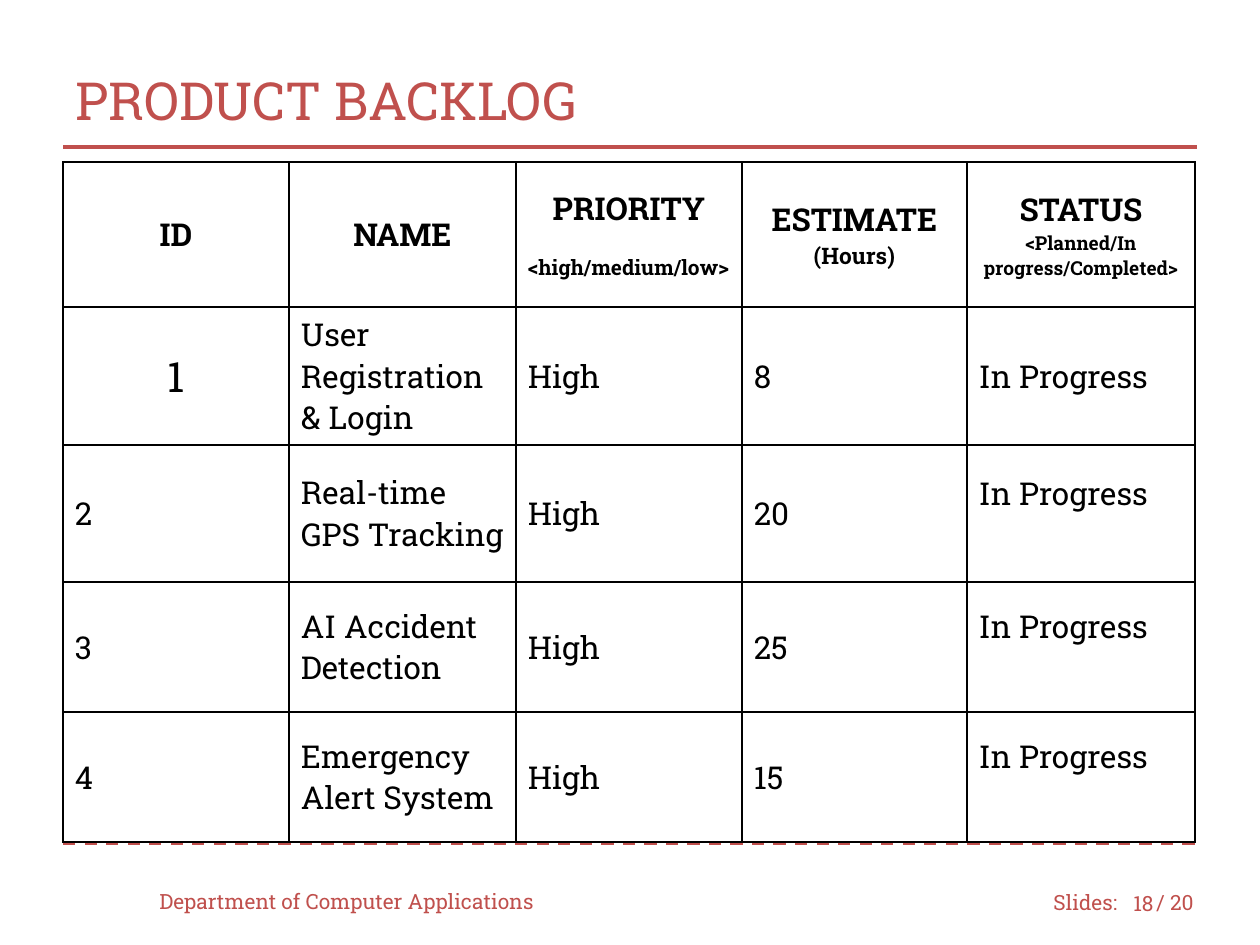
from lxml.etree import SubElement
from pptx import Presentation
from pptx.dml.color import RGBColor
from pptx.enum.dml import MSO_LINE
from pptx.enum.shapes import MSO_CONNECTOR
from pptx.enum.text import MSO_ANCHOR, PP_ALIGN
from pptx.oxml.ns import qn
from pptx.util import Emu, Pt

PX = 914400 / 126
FONT = "Roboto Slab"
RED = RGBColor(0xC0, 0x50, 0x4D)
BLACK = RGBColor(0, 0, 0)
LEFT, CENTER, RIGHT = PP_ALIGN.LEFT, PP_ALIGN.CENTER, PP_ALIGN.RIGHT

COLUMNS = [226, 227, 226, 225, 228]
ROWS = [145, 138, 137, 130, 130]
# Each heading: name, note, note size, note alignment, gap above note
HEADINGS = [
    ("ID", None, 0, CENTER, 0),
    ("NAME", None, 0, CENTER, 0),
    ("PRIORITY", "<high/medium/low>", 12, LEFT, 14),
    ("ESTIMATE", "(Hours)", 13, CENTER, 0),
    ("STATUS", "<Planned/In progress/Completed>", 11, CENTER, 0),
]
ITEMS = [
    ("1", "User Registration & Login", "High", "8", "In Progress"),
    ("2", "Real-time GPS Tracking", "High", "20", "In Progress"),
    ("3", "AI Accident Detection", "High", "25", "In Progress"),
    ("4", "Emergency Alert System", "High", "15", "In Progress"),
]


def px(length):
    return Emu(round(length * PX))


def write(para, text, size=18, color=BLACK, bold=False, align=LEFT, before=0):
    para.alignment = align
    para.space_before = Pt(before)
    span = para.add_run()
    span.text = text
    span.font.name = FONT
    span.font.size = Pt(size)
    span.font.bold = bold
    span.font.color.rgb = color


def add_label(page, text, left, top, width, height, **style):
    box = page.shapes.add_textbox(px(left), px(top), px(width), px(height))
    frame = box.text_frame
    frame.word_wrap = True
    frame.vertical_anchor = MSO_ANCHOR.MIDDLE
    write(frame.paragraphs[0], text, **style)


def add_rule(page, left, top, width, dash=None):
    rule = page.shapes.add_connector(
        MSO_CONNECTOR.STRAIGHT, px(left), px(top), px(left + width), px(top))
    rule.line.color.rgb = RED
    rule.line.width = Pt(1.75)
    if dash:
        rule.line.dash_style = dash
    SubElement(rule._element.spPr, qn("a:effectLst"))


def add_header(page, left, top, width, height):
    title = page.shapes.title
    title.left, title.top = px(left), px(top)
    title.width, title.height = px(width), px(height)
    title.text_frame.vertical_anchor = MSO_ANCHOR.MIDDLE
    write(title.text_frame.paragraphs[0], "PRODUCT BACKLOG", size=30, color=RED)
    add_rule(page, left, top + 105, width)


def style_cell(cell, margin_y, lift=0):
    cell.vertical_anchor = MSO_ANCHOR.MIDDLE
    cell.margin_left = cell.margin_right = px(12)
    cell.margin_top, cell.margin_bottom = px(margin_y), px(margin_y + lift)
    props = cell._tc.get_or_add_tcPr()
    for side in ("a:lnL", "a:lnR", "a:lnT", "a:lnB"):
        border = SubElement(props, qn(side), w=str(Pt(1)))
        fill = SubElement(border, qn("a:solidFill"))
        SubElement(fill, qn("a:srgbClr"), val=str(BLACK))
    cell.fill.background()


def fill_heading(cell, name, note, size, align, gap):
    style_cell(cell, margin_y=12)
    write(cell.text_frame.paragraphs[0], name, bold=True, align=CENTER)
    if note:
        write(cell.text_frame.add_paragraph(), note, size=size, bold=True,
              align=align, before=gap)


def add_backlog(page, left, top):
    frame = page.shapes.add_table(
        len(ROWS), len(COLUMNS), px(left), px(top), px(sum(COLUMNS)), px(sum(ROWS)))
    table = frame.table
    table.first_row = table.horz_banding = False
    for column, width in zip(table.columns, COLUMNS):
        column.width = px(width)
    for row, height in zip(table.rows, ROWS):
        row.height = px(height)

    for col, heading in enumerate(HEADINGS):
        fill_heading(table.cell(0, col), *heading)

    for row, item in enumerate(ITEMS, start=1):
        for col, text in enumerate(item):
            cell = table.cell(row, col)
            # Status sits half a line higher after the first item
            raised = row > 1 and col == len(item) - 1
            style_cell(cell, margin_y=6, lift=41 if raised else 0)
            lead = row == 1 and col == 0
            write(cell.text_frame.paragraphs[0], text,
                  size=24 if lead else 18, align=CENTER if lead else LEFT)


def add_footer(page, left, top, width):
    add_rule(page, left, top, width, dash=MSO_LINE.DASH)
    labels = [
        ("Department of Computer Applications", 84, 32, 420, LEFT),
        ("Slides:", 978, 33, 94, LEFT),
        ("18", 1050, 34, 53, RIGHT),
        ("/ 20", 1081, 33, 73, LEFT),
    ]
    for text, x, y, span_width, align in labels:
        add_label(page, text, left + x, top + y, span_width, 50,
                  size=12, color=RED, align=align)


def main():
    deck = Presentation()
    deck.slide_width, deck.slide_height = px(1260), px(945)
    page = deck.slides.add_slide(deck.slide_layouts[5])
    add_footer(page, 63, 844, 1134)
    add_header(page, 63, 42, 1134, 116)
    add_backlog(page, 63, 162)
    deck.save("out.pptx")


if __name__ == "__main__":
    main()
